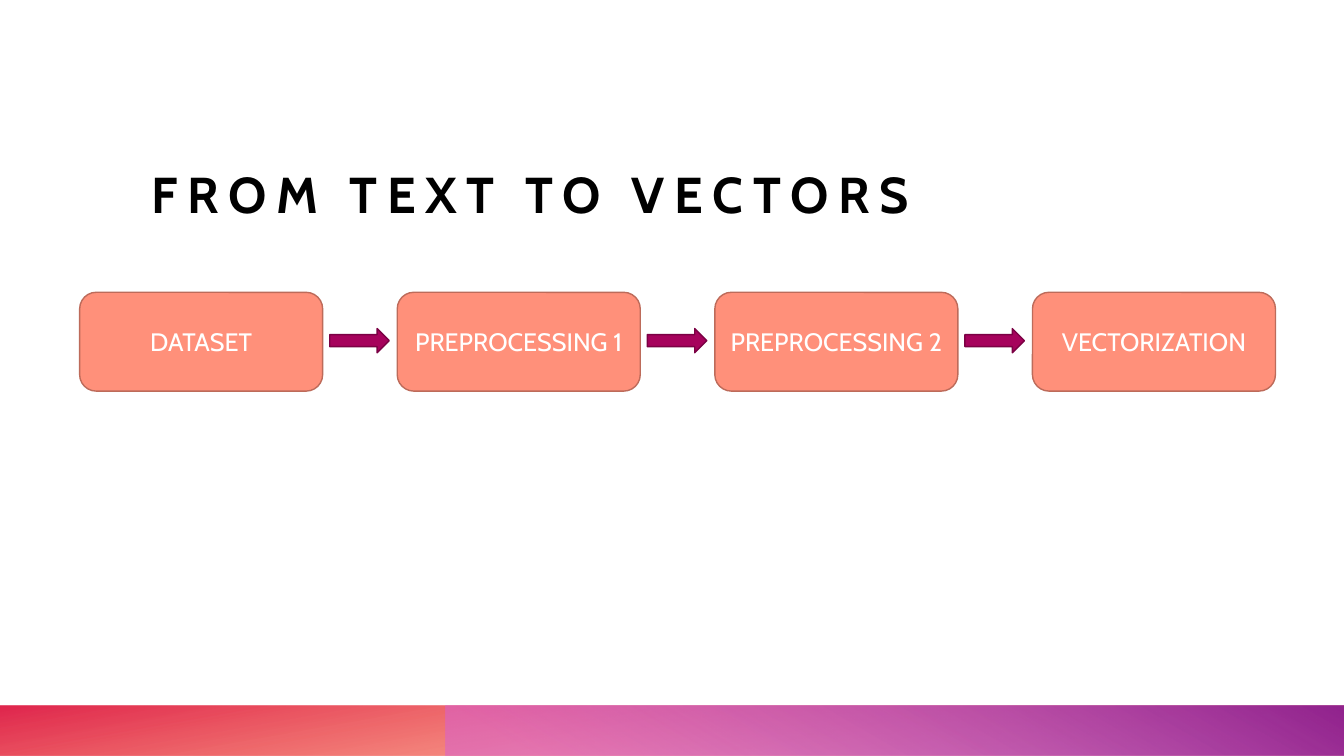
"""Builds the slide on the steps that lead from text to vectors."""
from dataclasses import dataclass

from lxml import etree
from pptx import Presentation
from pptx.dml.color import RGBColor
from pptx.enum.shapes import MSO_SHAPE
from pptx.enum.text import MSO_ANCHOR, PP_ALIGN
from pptx.oxml.ns import qn
from pptx.util import Inches, Pt

RECTANGLE = MSO_SHAPE.RECTANGLE
ROUNDED = MSO_SHAPE.ROUNDED_RECTANGLE
RIGHT_ARROW = MSO_SHAPE.RIGHT_ARROW
LEFT, CENTER = PP_ALIGN.LEFT, PP_ALIGN.CENTER
BOTTOM, MIDDLE = MSO_ANCHOR.BOTTOM, MSO_ANCHOR.MIDDLE
TITLE_ONLY = 5


@dataclass(frozen=True)
class Theme:
    font: str = "Cabin"
    title_size: int = 36
    step_size: int = 18
    title_spacing: int = 7
    title_color: str = "000000"
    step_color: str = "FFFFFF"
    step_fill: str = "FF907A"
    step_line: str = "BD6B5A"
    arrow_fill: str = "A6025C"
    arrow_line: str = "7B0144"
    warm_stops: tuple = ((14, "FE4A00", 28), (100, "DA002F", 85))
    violet_stops: tuple = ((9, "D861D4", 55), (99, "92248E", 100))


class SlideBuilder:
    def __init__(self, slide, theme):
        self.slide = slide
        self.theme = theme

    def style_text(self, paragraph, size, color, align, bold=False):
        paragraph.alignment = align
        font = paragraph.font
        font.name = self.theme.font
        font.size = Pt(size)
        font.bold = bold
        font.color.rgb = RGBColor.from_string(color)

    def title(self, text, left, top, width, height):
        title = self.slide.shapes.title
        title.left, title.top = Inches(left), Inches(top)
        title.width, title.height = Inches(width), Inches(height)
        frame = title.text_frame
        frame.margin_left = frame.margin_right = 0
        frame.margin_top = frame.margin_bottom = 0
        frame.vertical_anchor = BOTTOM
        frame.word_wrap = True
        paragraph = frame.paragraphs[0]
        run = paragraph.add_run()
        run.text = text
        run._r.get_or_add_rPr().set("spc", str(self.theme.title_spacing * 100))
        self.style_text(paragraph, self.theme.title_size,
                        self.theme.title_color, LEFT, bold=True)

    def shape(self, kind, left, top, width, height):
        shape = self.slide.shapes.add_shape(
            kind, Inches(left), Inches(top), Inches(width), Inches(height))
        shape.shadow.inherit = False
        return shape

    def outlined(self, kind, box, fill, line):
        shape = self.shape(kind, *box)
        shape.fill.solid()
        shape.fill.fore_color.rgb = RGBColor.from_string(fill)
        shape.line.color.rgb = RGBColor.from_string(line)
        shape.line.width = Pt(1)
        return shape

    def step(self, text, *box):
        step = self.outlined(ROUNDED, box, self.theme.step_fill,
                             self.theme.step_line)
        frame = step.text_frame
        frame.word_wrap = True
        frame.vertical_anchor = MIDDLE
        frame.text = text
        self.style_text(frame.paragraphs[0], self.theme.step_size,
                        self.theme.step_color, CENTER)

    def arrow(self, *box):
        self.outlined(RIGHT_ARROW, box, self.theme.arrow_fill,
                      self.theme.arrow_line)

    def gradient_bar(self, box, stops, angle):
        bar = self.shape(RECTANGLE, *box)
        bar.line.fill.background()
        bar.fill.gradient()
        bar.fill.gradient_angle = angle
        for stop, (position, color, _) in zip(bar.fill.gradient_stops, stops):
            stop.position = position / 100
            stop.color.rgb = RGBColor.from_string(color)
        colors = bar._element.spPr.iter(qn("a:srgbClr"))
        for color, (_, _, opacity) in zip(list(colors), stops):
            alpha = etree.SubElement(color, qn("a:alpha"))
            alpha.set("val", str(opacity * 1000))


def main():
    presentation = Presentation()
    presentation.slide_width = Inches(13.33)
    presentation.slide_height = Inches(7.5)
    slide = presentation.slides.add_slide(
        presentation.slide_layouts[TITLE_ONLY])
    theme = Theme()
    builder = SlideBuilder(slide, theme)

    builder.gradient_bar((0, 7, 13.33, 0.5), theme.warm_stops, 100)
    builder.gradient_bar((4.42, 7, 8.91, 0.5), theme.violet_stops, 60)
    builder.title("FROM TEXT TO VECTORS", 1.5, 0.87, 11.2, 1.35)

    steps = ["DATASET", "PREPROCESSING 1", "PREPROCESSING 2", "VECTORIZATION"]
    first_left, pitch = 0.79, 3.15
    arrow_offset = 2.48
    for index, label in enumerate(steps):
        left = first_left + index * pitch
        builder.step(label, left, 2.9, 2.41, 0.98)
        if index < len(steps) - 1:
            builder.arrow(left + arrow_offset, 3.26, 0.59, 0.24)

    presentation.save("out.pptx")


if __name__ == "__main__":
    main()
